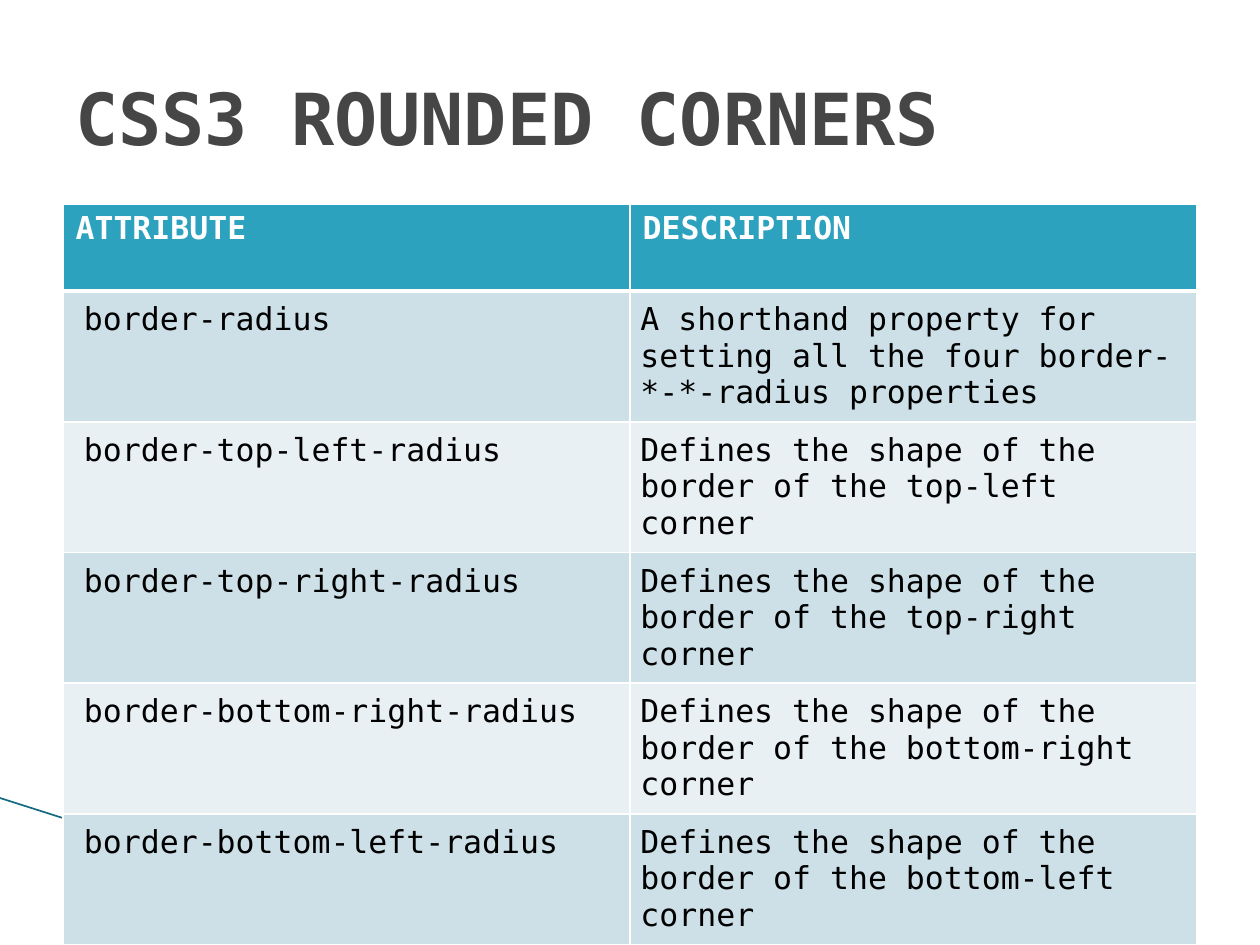
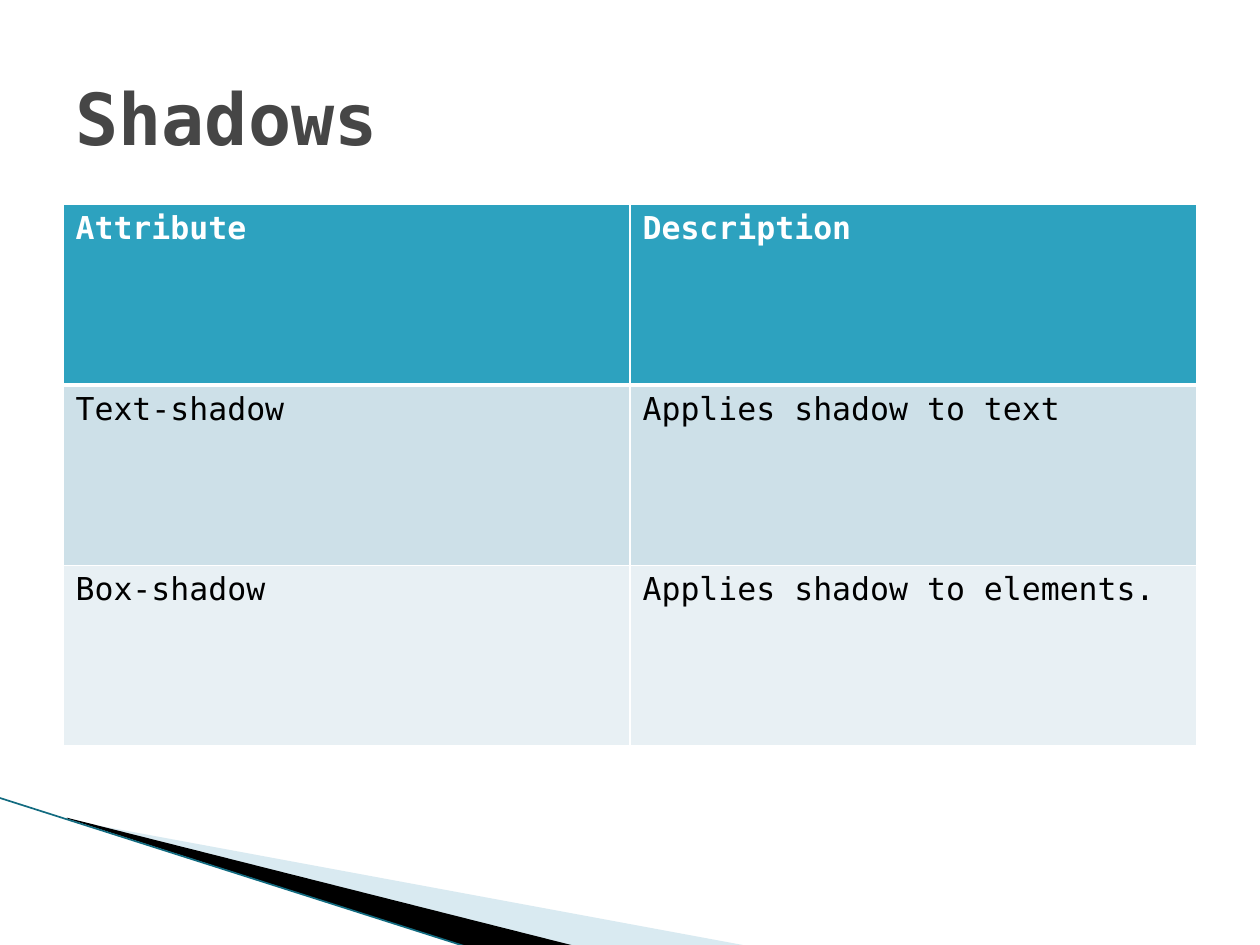
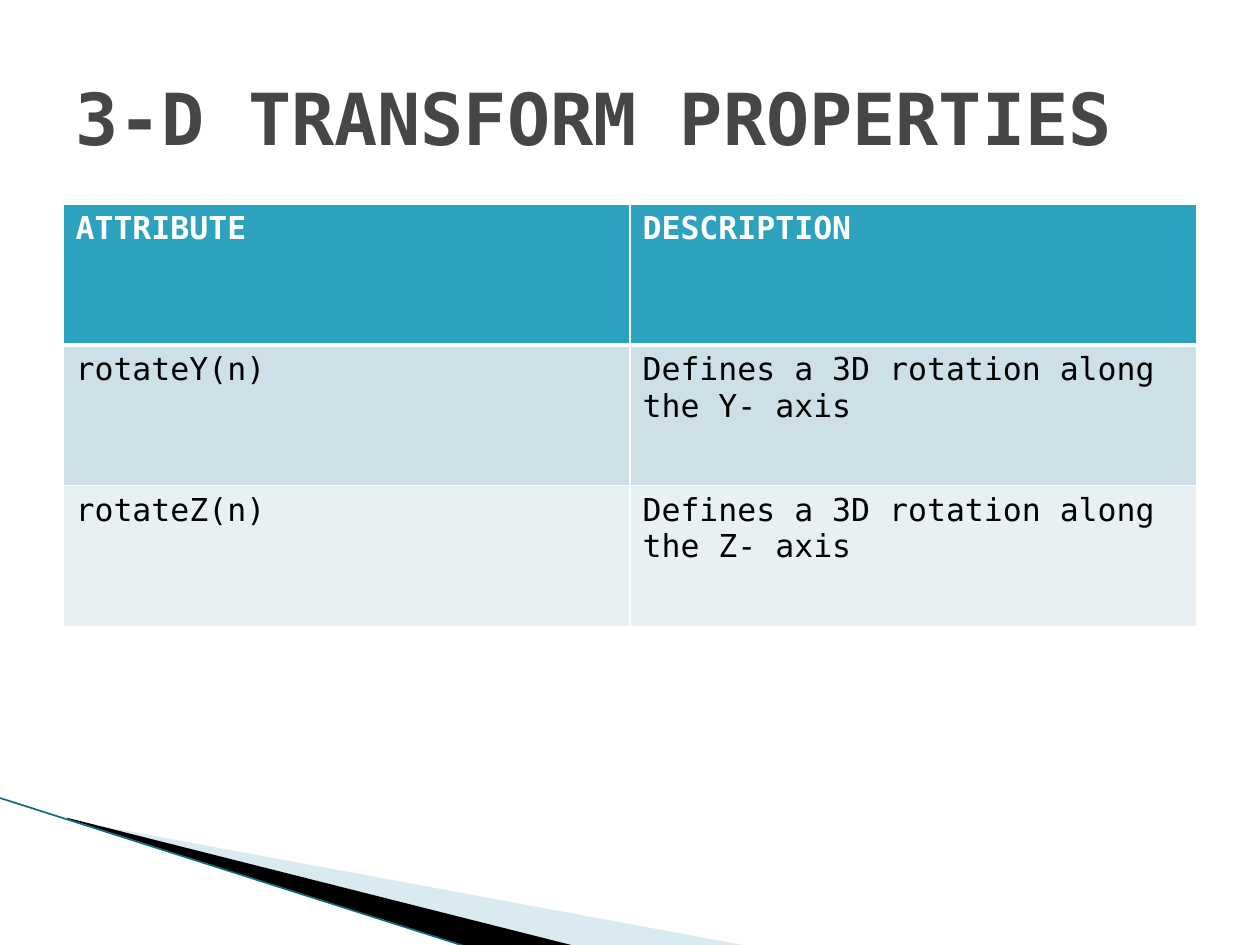
from lxml import etree
from pptx import Presentation
from pptx.dml.color import RGBColor
from pptx.enum import shapes, text
from pptx.oxml import ns
from pptx.util import Pt

FONT = "DejaVu Sans Mono"
TITLE_GREY = RGBColor(0x46, 0x46, 0x46)
HEADER_TEAL = RGBColor(0x2D, 0xA2, 0xBF)
BANDS = (RGBColor(0xCD, 0xE0, 0xE8), RGBColor(0xE8, 0xF0, 0xF4))
PALE_BLUE = RGBColor(0xA0, 0xCB, 0xDC)
EDGE_TEAL = RGBColor(0x12, 0x6B, 0x80)
BLACK = RGBColor(0, 0, 0)
WHITE = RGBColor(0xFF, 0xFF, 0xFF)

LEFT, WIDTH = 36, 648
TABLE_TOP = 116.8
DEFAULT_INSETS = ((7.2, 3.6, 7.2, 3.6),) * 2
WIDE_INSETS = ((12, 6, 6, 6), (6, 6, 6, 6))

TABLES = [
    ("CSS3 ROUNDED CORNERS", 49.6, WIDE_INSETS, [
        ("ATTRIBUTE", "DESCRIPTION"),
        ("border-radius",
         "A shorthand property for setting all the four border-*-*-radius properties"),
        *((f"border-{corner}-radius",
           f"Defines the shape of the border of the {corner} corner")
          for corner in ("top-left", "top-right", "bottom-right", "bottom-left")),
    ]),
    ("Shadows", 103.2, DEFAULT_INSETS, [
        ("Attribute", "Description"),
        ("Text-shadow", "Applies shadow to text"),
        ("Box-shadow", "Applies shadow to elements."),
    ]),
    ("3-D TRANSFORM PROPERTIES", 80.4, DEFAULT_INSETS, [
        ("ATTRIBUTE", "DESCRIPTION"),
        *((f"rotate{axis}(n)", f"Defines a 3D rotation along the {axis}- axis")
          for axis in "YZ"),
    ]),
]


def write(frame, words, size=18, color=BLACK, bold=False):
    frame.word_wrap = True
    run = frame.paragraphs[0].add_run()
    run.text = words
    run.font.name = FONT
    run.font.size = Pt(size)
    run.font.bold = bold
    run.font.color.rgb = color


def add_wedge(slide, points, color, opacity=100):
    start, *rest = [(Pt(x), Pt(y)) for x, y in points]
    outline = slide.shapes.build_freeform(*start, scale=1.0)
    outline.add_line_segments(rest, close=True)
    wedge = outline.convert_to_shape()
    wedge.shadow.inherit = False
    wedge.line.fill.background()
    wedge.fill.solid()
    wedge.fill.fore_color.rgb = color
    if opacity < 100:
        tint = wedge.fill._xPr.find(".//" + ns.qn("a:srgbClr"))
        etree.SubElement(tint, ns.qn("a:alpha"), val=str(opacity * 1000))


def add_corner_sweep(slide):
    add_wedge(slide, [(39.6, 468.7), (428.4, 540.7), (328.3, 540.7), (39.6, 468)],
              PALE_BLUE, opacity=40)
    add_wedge(slide, [(38.2, 467.3), (329, 540.7), (267.8, 541.4), (38.9, 468)], BLACK)
    edge = slide.shapes.add_connector(
        shapes.MSO_CONNECTOR.STRAIGHT, Pt(-0.7), Pt(455.8), Pt(267.8), Pt(541.4))
    edge.line.color.rgb = EDGE_TEAL
    edge.line.width = Pt(0.95)
    etree.SubElement(edge._element.spPr, ns.qn("a:effectLst"))


def add_title(slide, words):
    title = slide.shapes.add_textbox(Pt(LEFT), Pt(21.6), Pt(WIDTH), Pt(90))
    title.text_frame.vertical_anchor = text.MSO_ANCHOR.MIDDLE
    write(title.text_frame, words, size=41, color=TITLE_GREY, bold=True)


def set_borders(cell, **widths):
    properties = cell._tc.get_or_add_tcPr()
    for side in "LRTB":
        border = etree.SubElement(properties, ns.qn(f"a:ln{side}"),
                                  w=str(Pt(widths.get(side, 1))))
        paint = etree.SubElement(border, ns.qn("a:solidFill"))
        etree.SubElement(paint, ns.qn("a:srgbClr"), val=str(WHITE))


def fill_cell(cell, words, row_number, insets):
    header = row_number == 0
    if header:
        set_borders(cell, B=3)
    else:
        set_borders(cell, T=3 if row_number == 1 else 1)
        cell.margin_left, cell.margin_top, cell.margin_right, cell.margin_bottom = map(Pt, insets)
    cell.fill.solid()
    cell.fill.fore_color.rgb = HEADER_TEAL if header else BANDS[(row_number - 1) % 2]
    write(cell.text_frame, words, color=WHITE if header else BLACK, bold=header)


def add_property_table(slide, rows, row_height, insets):
    grid = slide.shapes.add_table(len(rows), 2, Pt(LEFT), Pt(TABLE_TOP),
                                  Pt(WIDTH), Pt(row_height * len(rows))).table
    for row_number, row in enumerate(rows):
        grid.rows[row_number].height = Pt(row_height)
        for column, words in enumerate(row):
            fill_cell(grid.cell(row_number, column), words, row_number, insets[column])


def main():
    deck = Presentation()
    deck.slide_width, deck.slide_height = Pt(720), Pt(540)
    for heading, row_height, insets, rows in TABLES:
        slide = deck.slides.add_slide(deck.slide_layouts[6])
        add_corner_sweep(slide)
        add_property_table(slide, rows, row_height, insets)
        add_title(slide, heading)
    deck.save("out.pptx")


if __name__ == "__main__":
    main()
